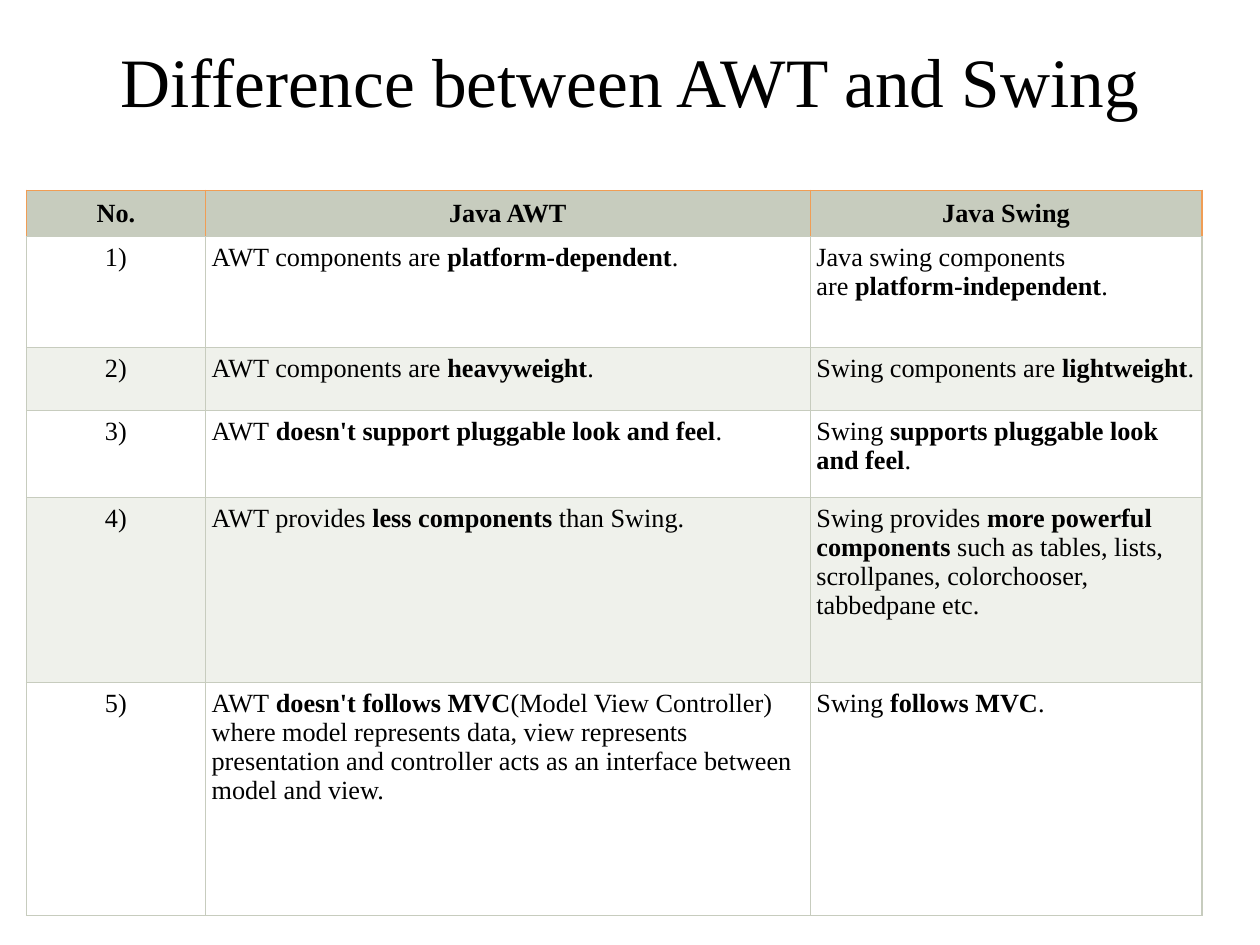
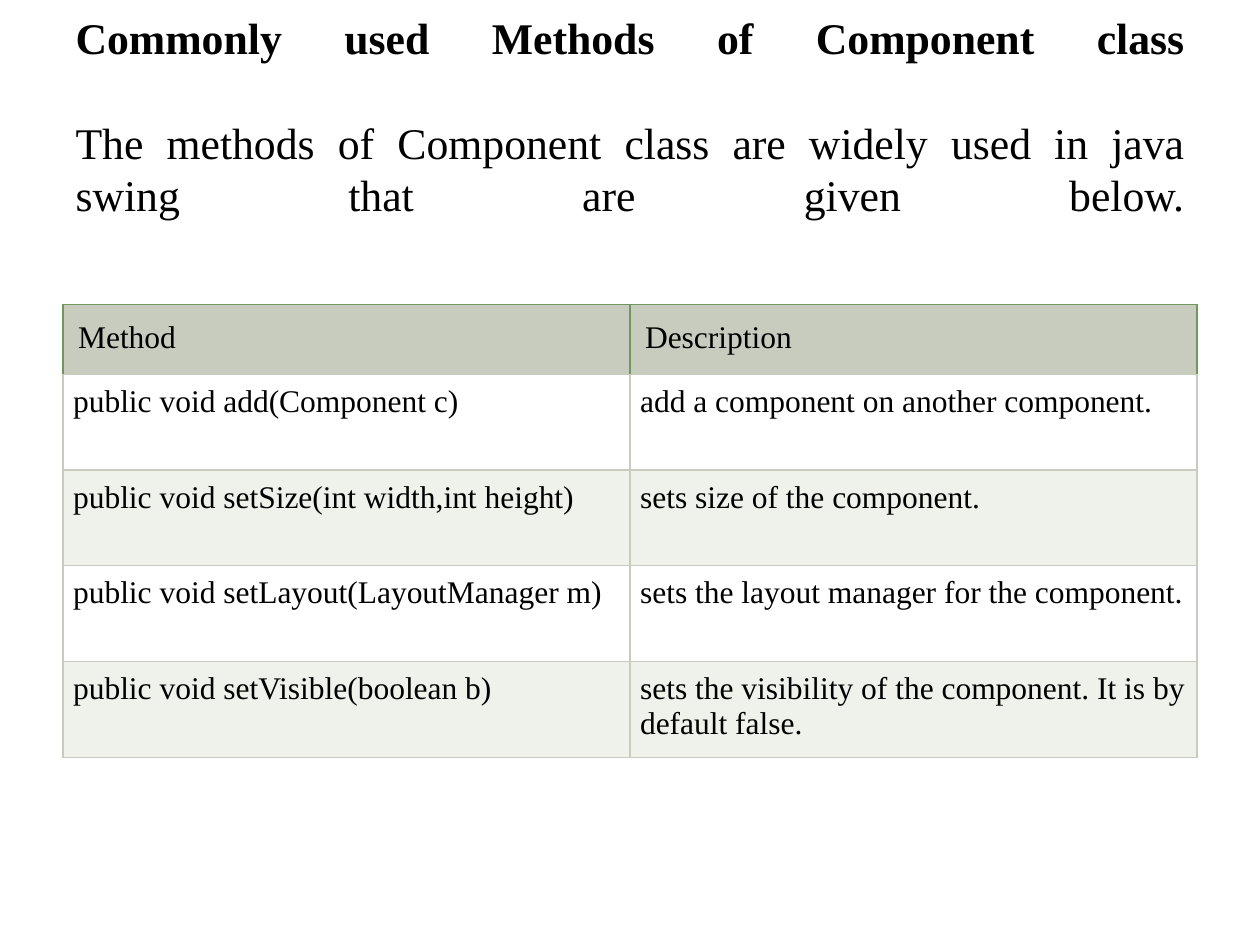
from lxml import etree
from pptx import Presentation
from pptx.dml.color import RGBColor
from pptx.enum import text as t
from pptx.oxml import ns
from pptx.util import Inches, Pt

# Content: *stars* enclose bold words
AWT_TITLE = ["Difference between AWT and Swing"]
AWT_ROWS = [
    ("No.", "Java AWT", "Java Swing"),
    ("1)", "AWT components are *platform-dependent*.",
     "Java swing components are *platform-independent*."),
    ("2)", "AWT components are *heavyweight*.",
     "Swing components are *lightweight*."),
    ("3)", "AWT *doesn't support pluggable look and feel*.",
     "Swing *supports pluggable look and feel*."),
    ("4)", "AWT provides *less components* than Swing.",
     "Swing provides *more powerful components* such as tables, lists, "
     "scrollpanes, colorchooser, tabbedpane etc."),
    ("5)", "AWT *doesn't follows MVC*(Model View Controller) where model "
     "represents data, view represents presentation and controller acts as "
     "an interface between model and view.",
     "Swing *follows MVC*."),
]
METHODS_TITLE = [
    "*Commonly used Methods of Component class*",
    "The methods of Component class are widely used in java swing that are "
    "given below.",
]
METHODS_ROWS = [
    ("Method", "Description"),
    ("public void add(Component c)", "add a component on another component."),
    ("public void setSize(int width,int height)", "sets size of the component."),
    ("public void setLayout(LayoutManager m)",
     "sets the layout manager for the component."),
    ("public void setVisible(boolean b)",
     "sets the visibility of the component. It is by default false."),
]

# Shared look
FONT = "Times New Roman"
BLACK = RGBColor(0x00, 0x00, 0x00)
WHITE = RGBColor(0xFF, 0xFF, 0xFF)
SAGE = RGBColor(0xC7, 0xCC, 0xBE)
PALE_SAGE = RGBColor(0xEF, 0xF1, 0xEB)
ORANGE = RGBColor(0xF0, 0x9D, 0x55)
GREEN = RGBColor(0x70, 0x97, 0x5F)
LEFT, CENTER, JUSTIFY = t.PP_ALIGN.LEFT, t.PP_ALIGN.CENTER, t.PP_ALIGN.JUSTIFY
NBSP = chr(160)


def write(paragraph, content, size, align):
    """Fill a paragraph, with non-breaking spaces beside bold words."""
    paragraph.alignment = align
    content = content.replace(" *", NBSP + "*").replace("* ", "*" + NBSP)
    for i, part in enumerate(content.split("*")):
        if part:
            run = paragraph.add_run()
            run.text = part
            run.font.name, run.font.size = FONT, Pt(size)
            run.font.bold = i % 2 == 1
            run.font.color.rgb = BLACK


def add_title(slide, lines, size, align, anchor, top_inset):
    title = slide.shapes.title
    title.left, title.top = Inches(0.5), Inches(0.3)
    title.width, title.height = Inches(9), Inches(1.25)
    frame = title.text_frame
    frame.word_wrap, frame.auto_size = True, t.MSO_AUTO_SIZE.NONE
    frame.vertical_anchor = anchor
    frame.margin_top = Inches(top_inset)
    # Default size, which line breaks follow too
    list_style = title.element.txBody.find(ns.qn("a:lstStyle"))
    level = etree.SubElement(list_style, ns.qn("a:lvl1pPr"))
    etree.SubElement(level, ns.qn("a:defRPr"), sz=str(int(size * 100)))
    for i, line in enumerate(lines):
        paragraph = frame.add_paragraph() if i else frame.paragraphs[0]
        write(paragraph, line, size, align)
        if align == JUSTIFY:  # a closing break stretches the last line
            paragraph.add_line_break()


def set_borders(cell, side_color):
    """Sage below; the given colour on the other sides."""
    sides = {"lnL": side_color, "lnR": side_color, "lnT": side_color, "lnB": SAGE}
    properties = cell._tc.get_or_add_tcPr()
    for i, (side, color) in enumerate(sides.items()):
        line = etree.Element(ns.qn("a:" + side), w=str(Pt(0.75)))
        fill = etree.SubElement(line, ns.qn("a:solidFill"))
        etree.SubElement(fill, ns.qn("a:srgbClr"), val=str(color))
        properties.insert(i, line)


def add_grid(slide, rows, left, top, widths, heights, size, insets,
             header_line, header_bold, header_align, first_align):
    table = slide.shapes.add_table(
        len(rows), len(widths), Inches(left), Inches(top),
        Inches(sum(widths)), Inches(sum(heights))).table
    table.first_row = table.horz_banding = False
    for column, width in zip(table.columns, widths):
        column.width = Inches(width)
    for r, (row, height) in enumerate(zip(rows, heights)):
        table.rows[r].height = Inches(height)
        header = r == 0
        inset = Inches(insets[0] if header else insets[1])
        for c, content in enumerate(row):
            cell = table.cell(r, c)
            cell.margin_left = cell.margin_right = inset
            cell.margin_top = cell.margin_bottom = inset
            cell.fill.solid()
            cell.fill.fore_color.rgb = (
                SAGE if header else WHITE if r % 2 else PALE_SAGE)
            set_borders(cell, header_line if header else SAGE)
            align = header_align if header else LEFT if c else first_align
            if header and header_bold:
                content = f"*{content}*"
            write(cell.text_frame.paragraphs[0], content, size, align)


def main():
    deck = Presentation()
    deck.slide_width, deck.slide_height = Inches(10), Inches(7.5)
    title_only = deck.slide_layouts[5]

    # AWT and Swing side by side
    comparison = deck.slides.add_slide(title_only)
    add_title(comparison, AWT_TITLE, 39.6, CENTER, t.MSO_ANCHOR.TOP, 0)
    add_grid(comparison, AWT_ROWS, 0.21, 1.51, [1.42, 4.8, 3.11],
             [0.37, 0.88, 0.5, 0.69, 1.47, 1.85], 15, (0.07, 0.05),
             ORANGE, True, CENTER, CENTER)

    # Component methods
    methods = deck.slides.add_slide(title_only)
    add_title(methods, METHODS_TITLE, 25, JUSTIFY, t.MSO_ANCHOR.MIDDLE, 0.45)
    add_grid(methods, METHODS_ROWS, 0.5, 2.42, [4.5, 4.5],
             [0.55] + [0.76] * 4, 18, (0.12, 0.08),
             GREEN, False, LEFT, LEFT)

    deck.save("out.pptx")


if __name__ == "__main__":
    main()
